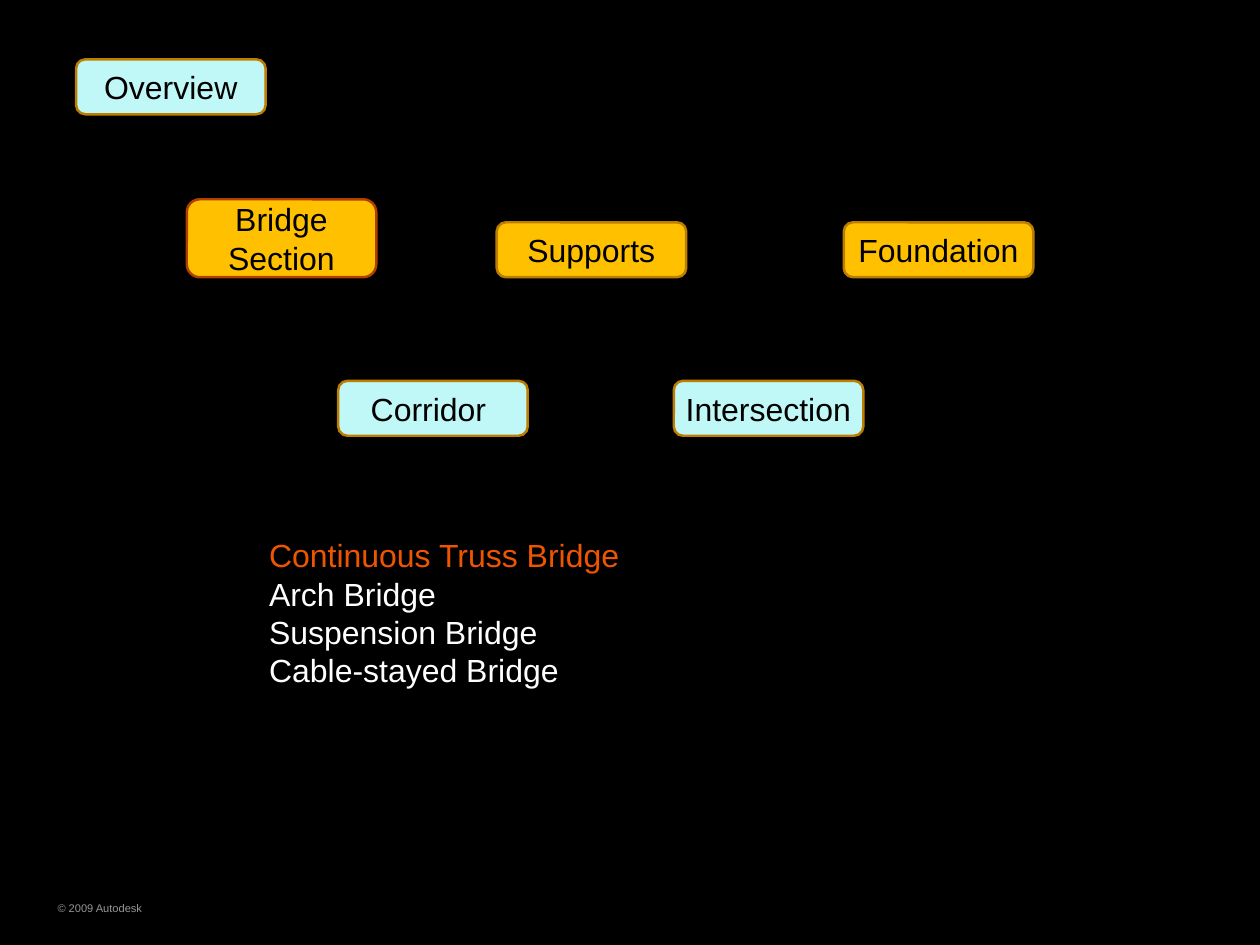
"""Build the bridge modelling overview slide."""
from pptx import Presentation
from pptx.dml.color import RGBColor
from pptx.enum.shapes import MSO_SHAPE
from pptx.enum.text import MSO_ANCHOR, PP_ALIGN
from pptx.util import Inches, Pt


def color(value):
    return RGBColor.from_string(value)


def write_lines(frame, lines, size, align):
    for index, (text, ink) in enumerate(lines):
        para = frame.paragraphs[0] if index == 0 else frame.add_paragraph()
        para.alignment = align
        span = para.add_run()
        span.text = text
        for name, value in {"name": "Arial", "size": Pt(size)}.items():
            setattr(span.font, name, value)
        span.font.color.rgb = color(ink)


deck = Presentation()
deck.slide_width, deck.slide_height = Inches(14.23), Inches(10.67)
page = deck.slides.add_slide(deck.slide_layouts[6])
page.background.fill.solid()
page.background.fill.fore_color.rgb = color("000000")

footer = page.shapes.add_textbox(Inches(0.65), Inches(10.14), Inches(3.17), Inches(0.22))
footer_format = {"word_wrap": True, "vertical_anchor": MSO_ANCHOR.MIDDLE,
                 "margin_left": 0, "margin_right": 0, "margin_top": 0, "margin_bottom": 0}
for name, value in footer_format.items():
    setattr(footer.text_frame, name, value)
write_lines(footer.text_frame, [("© 2009 Autodesk", "969696")], 9, PP_ALIGN.LEFT)

bridge_types = page.shapes.add_textbox(Inches(2.94), Inches(6), Inches(7.11), Inches(1.85))
bridge_types.text_frame.word_wrap = True
write_lines(bridge_types.text_frame, [
    ("Continuous Truss Bridge", "EE5500"),
    ("Arch Bridge", "FFFFFF"),
    ("Suspension Bridge", "FFFFFF"),
    ("Cable-stayed Bridge", "FFFFFF"),
], 26, PP_ALIGN.LEFT)

AQUA, AMBER, BROWN, RUST = "C0F7F7", "FFC000", "BD7E00", "B03F00"
topics = [
    (["Overview"], 0.86, 0.67, 0.62, AQUA, BROWN),
    (["Bridge", "Section"], 2.11, 2.25, 0.88, AMBER, RUST),
    (["Supports"], 5.61, 2.51, 0.62, AMBER, BROWN),
    (["Foundation"], 9.53, 2.51, 0.62, AMBER, BROWN),
    (["Corridor "], 3.82, 4.3, 0.62, AQUA, BROWN),
    (["Intersection"], 7.61, 4.3, 0.62, AQUA, BROWN),
]
for words, left, top, height, fill, outline in topics:
    box = page.shapes.add_shape(MSO_SHAPE.ROUNDED_RECTANGLE, Inches(left), Inches(top),
                                Inches(2.14), Inches(height))
    box.shadow.inherit = False
    box.fill.solid()
    box.fill.fore_color.rgb = color(fill)
    box.line.color.rgb = color(outline)
    box.line.width = Pt(2)
    for name, value in {"word_wrap": True, "vertical_anchor": MSO_ANCHOR.MIDDLE}.items():
        setattr(box.text_frame, name, value)
    write_lines(box.text_frame, [(word, "000000") for word in words], 26, PP_ALIGN.CENTER)

deck.save("out.pptx")
